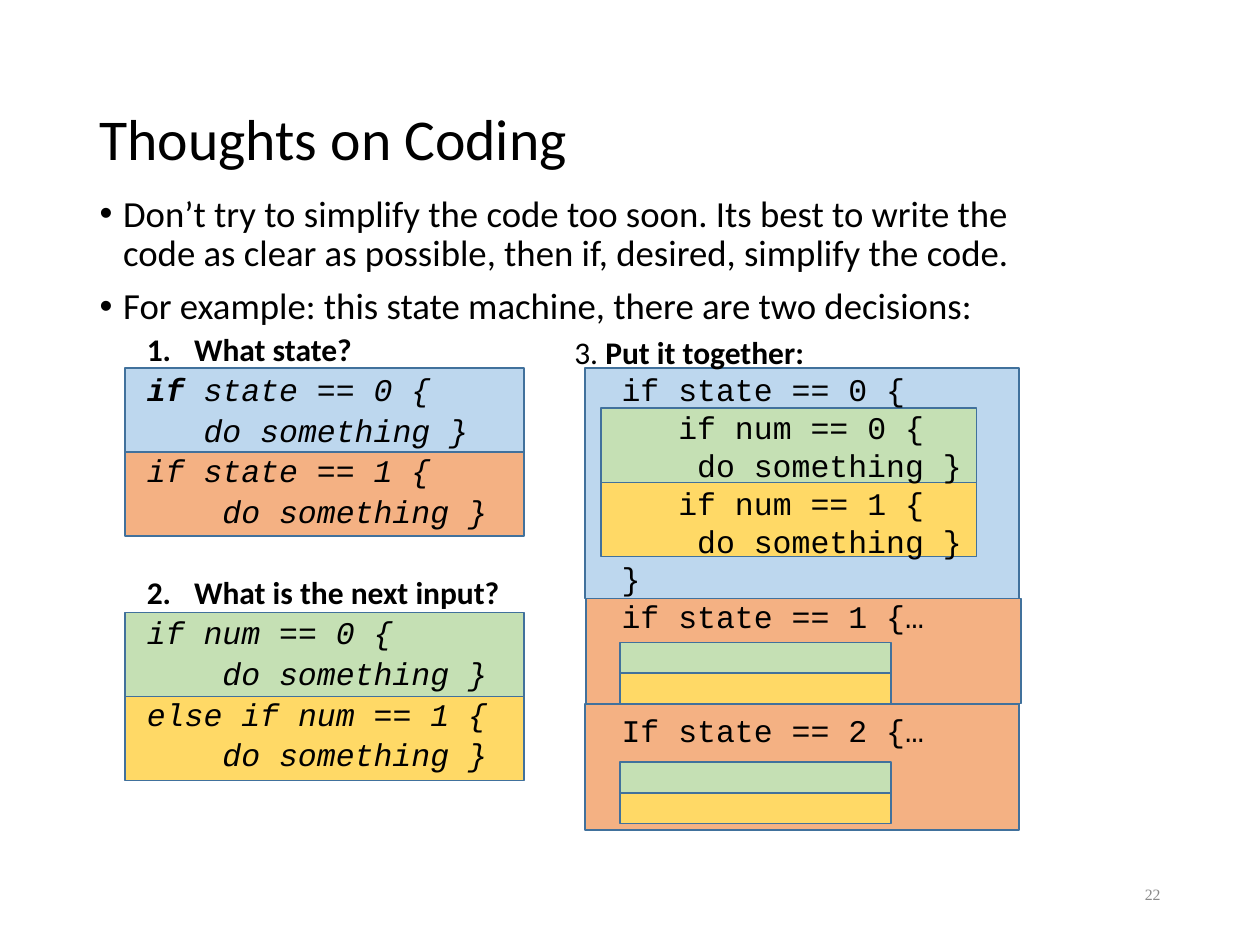
from dataclasses import dataclass

from lxml.etree import SubElement
from pptx import Presentation
from pptx.dml.color import RGBColor
from pptx.enum.shapes import MSO_SHAPE as Preset
from pptx.enum.text import MSO_ANCHOR as Anchor, MSO_AUTO_SIZE as AutoSize, PP_ALIGN as Align
from pptx.oxml.ns import qn
from pptx.util import Pt


@dataclass(frozen=True)
class Theme:
    sans: str = "Calibri"
    mono: str = "Courier New"
    serif: str = "Times New Roman"
    black: str = "000000"
    gray: str = "898989"
    outline: str = "41719C"
    blue: str = "BDD7EE"
    orange: str = "F4B183"
    green: str = "C5E0B4"
    yellow: str = "FFD966"
    title_size: float = 33
    bullet_size: float = 21
    step_size: float = 18
    number_size: float = 9
    line_spacing: float = 0.9


THEME = Theme()
STEP_INDENT = 27
CHARACTER_WIDTH = 0.6 * THEME.step_size


@dataclass(frozen=True)
class Stack:
    left: float
    top: float
    width: float
    band_height: float
    fills: tuple[str, ...]


@dataclass(frozen=True)
class Line:
    text: str
    lead: str = ""
    depth: int = 0
    gap: float = 0
    number: int = 0


STACKS = [
    Stack(71.3, 210.2, 228.2, 48, (THEME.blue, THEME.orange)),
    Stack(71.3, 350, 228.2, 48, (THEME.green, THEME.yellow)),
    Stack(334.1, 210.2, 248.4, 131.8, (THEME.blue,)),
    Stack(343.4, 233.3, 214.6, 42.4, (THEME.green, THEME.yellow)),
    Stack(335, 342, 248.4, 60, (THEME.orange,)),
    Stack(334.1, 402.3, 248.4, 72, (THEME.orange,)),
    Stack(354.2, 367.2, 154.8, 17.5, (THEME.green, THEME.yellow)),
    Stack(354.2, 435.6, 154.8, 17.5, (THEME.green, THEME.yellow)),
]

BULLETS = [
    "Don’t try to simplify the code too soon. Its best to write the code as clear "
    "as possible, then if, desired, simplify the code.",
    "For example: this state machine, there are two decisions:",
]

DECISIONS = [
    Line("What state?", number=1),
    Line("state == 0 {", lead="if "),
    Line("do something }", depth=3),
    Line("if state == 1 {"),
    Line("do something }", depth=4),
    Line("What is the next input?", number=2, gap=23.2),
    Line("if num == 0 {"),
    Line("do something }", depth=4),
    Line("else if num == 1 {"),
    Line("do something }", depth=4),
]

COMBINED = [
    Line("if state == 0 {"),
    Line("if num == 0 {", depth=3),
    Line("do something }", depth=4),
    Line("if num == 1 {", depth=3),
    Line("do something }", depth=4),
    Line("}"),
    Line("if state == 1 {…"),
    Line("If state == 2 {…", gap=43.2),
]


def write(para, text: str, *, size: float = THEME.step_size, font: str = THEME.sans,
          color: str = THEME.black, bold: bool = False, italic: bool = False) -> None:
    span = para.add_run()
    span.text = text
    span.font.size = Pt(size)
    span.font.name = font
    span.font.bold = bold
    span.font.italic = italic
    span.font.color.rgb = RGBColor.from_string(color)


def add_para(frame, *, left: float = 0, hanging: float = 0, before: float = 0,
             spacing: float = 1, bullet: str = "", number: int = 0):
    first = frame.paragraphs[0]
    para = frame.add_paragraph() if first.runs else first
    para.line_spacing = spacing
    para.space_before = Pt(before)
    properties = para._p.get_or_add_pPr()
    properties.set("marL", str(Pt(left)))
    properties.set("indent", str(Pt(-hanging)))
    if bullet:
        SubElement(properties, qn("a:buFont"), typeface="Arial")
        SubElement(properties, qn("a:buChar"), char=bullet)
    elif number:
        SubElement(properties, qn("a:buFont"), typeface="+mj-lt")
        SubElement(properties, qn("a:buAutoNum"), type="arabicPeriod", startAt=str(number))
    else:
        SubElement(properties, qn("a:buNone"))
    return para


def place(box, left: float, top: float, width: float, height: float):
    box.left, box.top, box.width, box.height = map(Pt, (left, top, width, height))
    frame = box.text_frame
    frame.word_wrap = True
    frame.auto_size = AutoSize.NONE
    return frame


def add_text_box(page, left: float, top: float, width: float, height: float):
    box = page.shapes.add_textbox(0, 0, 0, 0)
    return place(box, left, top, width, height)


def draw_stack(page, stack: Stack) -> None:
    for index, fill in enumerate(stack.fills):
        box = page.shapes.add_shape(
            Preset.RECTANGLE, Pt(stack.left), Pt(stack.top + index * stack.band_height),
            Pt(stack.width), Pt(stack.band_height))
        box.shadow.inherit = False
        box.fill.solid()
        box.fill.fore_color.rgb = RGBColor.from_string(fill)
        box.line.color.rgb = RGBColor.from_string(THEME.outline)
        box.line.width = Pt(1)


def write_decisions(frame) -> None:
    for text in BULLETS:
        para = add_para(frame, left=13.5, hanging=13.5, before=7.5,
                        spacing=THEME.line_spacing, bullet="•")
        write(para, text, size=THEME.bullet_size)
    for line in DECISIONS:
        hanging = STEP_INDENT if line.number else 0
        para = add_para(frame, left=STEP_INDENT + hanging + line.depth * CHARACTER_WIDTH,
                        hanging=hanging, before=3.7 + line.gap,
                        spacing=THEME.line_spacing, number=line.number)
        if line.number:
            write(para, line.text, bold=True)
            continue
        if line.lead:
            write(para, line.lead, font=THEME.mono, bold=True, italic=True)
        write(para, line.text, font=THEME.mono, italic=True)


def write_combined(frame) -> None:
    para = add_para(frame)
    write(para, "3. ")
    write(para, "Put it together:", bold=True)
    for line in COMBINED:
        para = add_para(frame, left=STEP_INDENT + line.depth * CHARACTER_WIDTH,
                        before=line.gap)
        write(para, line.text, font=THEME.mono)


def main() -> None:
    deck = Presentation()
    deck.slide_width, deck.slide_height = Pt(720), Pt(540)
    page = deck.slides.add_slide(deck.slide_layouts[1])
    title, body = page.placeholders

    number_frame = add_text_box(page, 508.3, 496.8, 162, 28.8)
    number_frame.vertical_anchor = Anchor.MIDDLE
    para = add_para(number_frame)
    para.alignment = Align.RIGHT
    write(para, "22", size=THEME.number_size, font=THEME.serif, color=THEME.gray)

    for stack in STACKS:
        draw_stack(page, stack)
    write_combined(add_text_box(page, 321.1, 186.5, 362.9, 289.4))

    title_frame = place(title, 49.7, 28.8, 621.4, 104.4)
    title_frame.vertical_anchor = Anchor.MIDDLE
    para = add_para(title_frame, spacing=THEME.line_spacing)
    para.alignment = Align.LEFT
    write(para, "Thoughts on Coding", size=THEME.title_size)

    write_decisions(place(body, 49.7, 108, 544.3, 403.2))
    for box in (title, body):
        box.element.getparent().append(box.element)
    deck.save("out.pptx")


if __name__ == "__main__":
    main()
